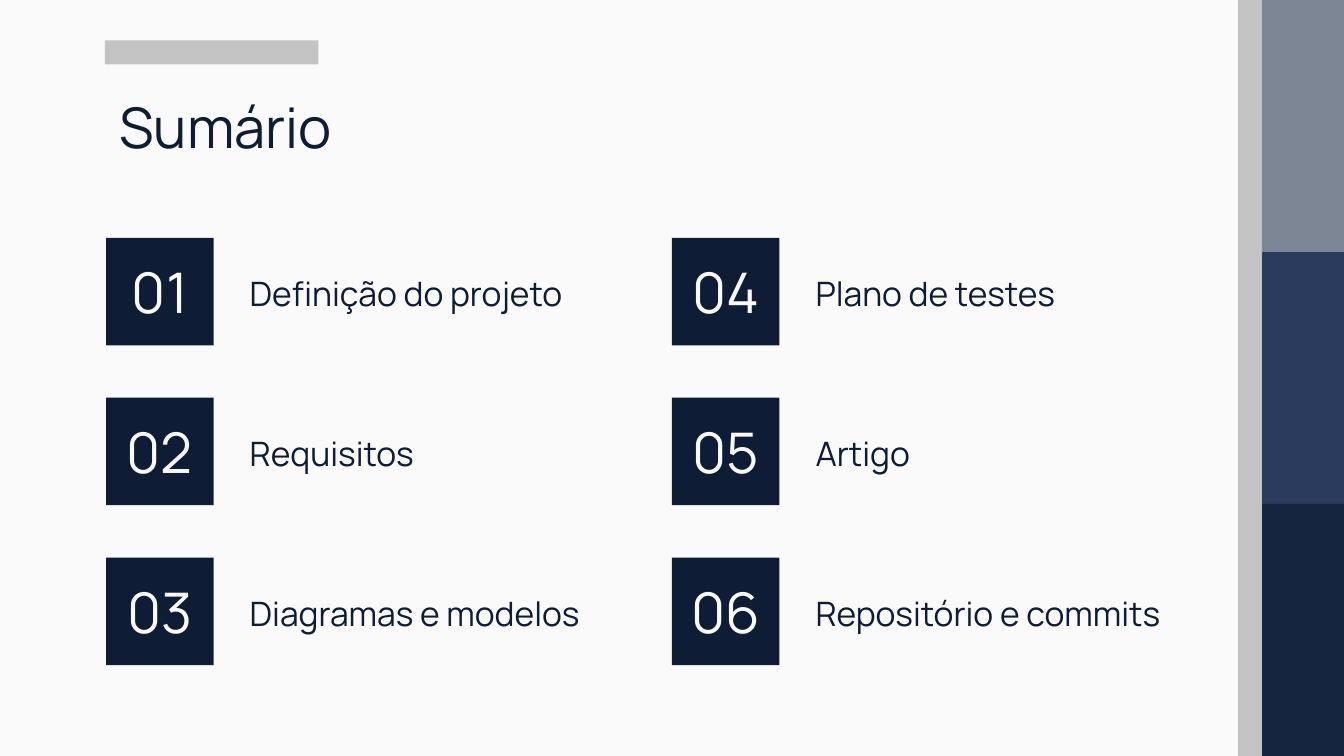
import pptx
import pptx.dml.color
import pptx.enum.shapes
import pptx.enum.text
import pptx.util

Inches = pptx.util.Inches
ALIGN = pptx.enum.text.PP_ALIGN
ANCHOR = pptx.enum.text.MSO_ANCHOR

SLIDE_W = 10
SLIDE_H = SLIDE_W * 9 / 16
FONT = "Manrope"
COLORS = {
    "paper": "FAFAFA",
    "navy": "0E1D35",
    "gray": "C3C3C3",
    "slate": "7C8594",
    "blue": "2B3B5D",
    "dark": "15253F",
}
TOPICS = [
    "Definição do projeto", "Requisitos", "Diagramas e modelos",
    "Plano de testes", "Artigo", "Repositório e commits",
]
ROWS = 3


def rgb(name):
    return pptx.dml.color.RGBColor.from_string(COLORS[name])


def add_rect(s, x, y, w, h, color):
    sp = s.shapes.add_shape(pptx.enum.shapes.MSO_SHAPE.RECTANGLE,
                            Inches(x), Inches(y), Inches(w), Inches(h))
    sp.shadow.inherit = False
    sp.fill.solid()
    sp.fill.fore_color.rgb = rgb(color)
    sp.line.fill.background()
    return sp


def add_box(s, x, y, w, h):
    return s.shapes.add_textbox(Inches(x), Inches(y), Inches(w), Inches(h))


def write(sp, text, size=18, color="navy", align=ALIGN.LEFT, anchor=ANCHOR.TOP):
    tf = sp.text_frame
    tf.word_wrap = True
    tf.vertical_anchor = anchor
    tf.margin_left = tf.margin_right = tf.margin_top = tf.margin_bottom = Inches(0.1)
    p = tf.paragraphs[0]
    p.alignment = align
    r = p.add_run()
    r.text = text
    r.font.name = FONT
    r.font.size = pptx.util.Pt(size)
    r.font.color.rgb = rgb(color)


def add_side_band(s, x, y, w, h):
    # Three stacked blocks to the right of a thin gray strip
    strip = 0.18
    block = h / 3
    for i, color in enumerate(["slate", "blue", "dark"]):
        add_rect(s, x + strip, y + i * block, w - strip, block, color)
    add_rect(s, x, y, strip, h, "gray")


def add_header(s, x, y, w, h, title):
    # Accent bar above the title
    add_rect(s, x, y, 1.59, 0.18, "gray")
    write(add_box(s, x + 0.01, y + 0.29, w - 0.01, h - 0.29), title, size=30)


def add_topic(s, x, y, w, h, number, topic):
    # Numbered square with its label
    square = add_rect(s, x, y, h, h, "navy")
    write(square, f"{number:02d}", size=30, color="paper",
          align=ALIGN.CENTER, anchor=ANCHOR.MIDDLE)
    label_x = h + 0.17
    write(add_box(s, x + label_x, y + 0.16, w - label_x, 0.48), topic)


def add_topics(s, x, y, w, h):
    # Grid filled column by column
    size, col_step = 0.8, 4.21
    row_step = (h - size) / (ROWS - 1)
    for i, topic in enumerate(TOPICS):
        col, row = divmod(i, ROWS)
        add_topic(s, x + col * col_step, y + row * row_step,
                  w - col_step, size, i + 1, topic)


def main():
    prs = pptx.Presentation()
    prs.slide_width, prs.slide_height = Inches(SLIDE_W), Inches(SLIDE_H)
    s = prs.slides.add_slide(prs.slide_layouts[6])
    s.background.fill.solid()
    s.background.fill.fore_color.rgb = rgb("paper")

    add_side_band(s, 9.21, 0, 0.79, SLIDE_H)
    add_header(s, 0.78, 0.3, 8.44, 0.92, "Sumário")
    add_topics(s, 0.79, 1.77, 8.15, 3.18)

    prs.save("out.pptx")


if __name__ == "__main__":
    main()
